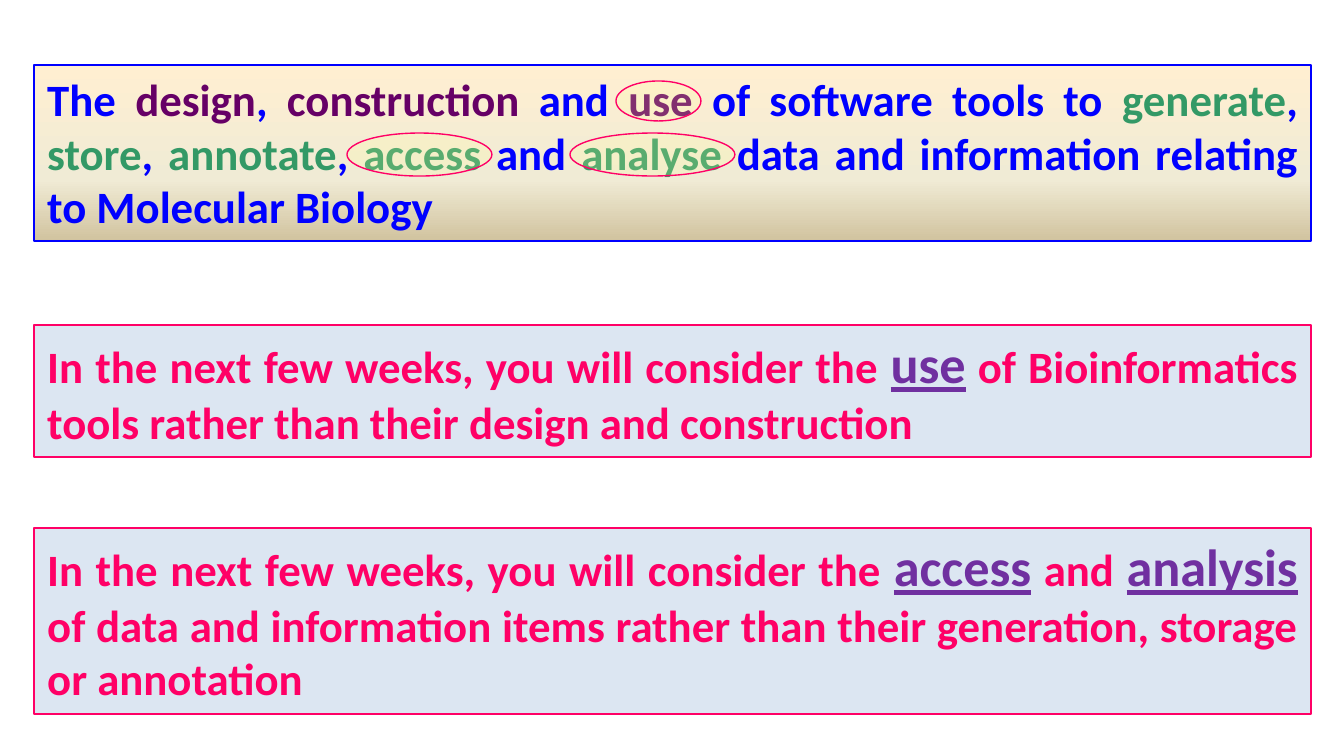
import copy
from dataclasses import dataclass

import pptx
import pptx.dml.color
import pptx.enum.shapes
import pptx.enum.text
import pptx.oxml
import pptx.oxml.ns
import pptx.util

EMU_PER_PX = 914400 / 134.4
BLUE, PURPLE, GREEN = "0000FF", "660066", "339966"
PINK, VIOLET, PALE_BLUE, YELLOW = "FF0066", "7030A0", "DCE6F2", "FFFF99"
PANEL_LEFT, PANEL_WIDTH = 34, 1277
GRADIENT = ((0, "FFEFD1"), (65, "F0EBD5"), (100, "D1C39F"))


@dataclass(frozen=True)
class Run:
    text: str
    color: str
    size: int = 24
    underline: bool = False


@dataclass(frozen=True)
class Panel:
    top: int
    height: int
    line: str
    runs: tuple[Run, ...]
    fill: str | None = None


@dataclass(frozen=True)
class Ring:
    left: int
    top: int
    width: int
    height: int


def emphasis(text: str) -> Run:
    return Run(text, VIOLET, 28, True)


PANELS = (
    Panel(65, 176, BLUE, (
        Run("The ", BLUE), Run("design", PURPLE), Run(", ", BLUE),
        Run("construction", PURPLE), Run(" and ", BLUE), Run("use", PURPLE),
        Run(" of software tools to ", BLUE), Run("generate", GREEN),
        Run(", ", BLUE), Run("store", GREEN), Run(", ", BLUE),
        Run("annotate", GREEN), Run(", ", BLUE), Run("access", GREEN),
        Run(" and ", BLUE), Run("analyse", GREEN),
        Run(" data and information relating to Molecular Biology", BLUE),
    )),
    Panel(325, 132, PINK, (
        Run("In the next few weeks, you will consider the ", PINK),
        emphasis("use"),
        Run(" of Bioinformatics tools rather than their design and construction", PINK),
    ), PALE_BLUE),
    Panel(528, 186, PINK, (
        Run("In the next few weeks, you will consider the ", PINK),
        emphasis("access"), Run(" and ", PINK), emphasis("analysis"),
        Run(" of data and information items rather than their generation, "
            "storage or annotation", PINK),
    ), PALE_BLUE),
)
RINGS = (Ring(616, 81, 85, 40), Ring(570, 133, 165, 43), Ring(347, 133, 145, 43))


def px(length: int) -> pptx.util.Emu:
    return pptx.util.Emu(round(length * EMU_PER_PX))


def rgb(color: str) -> pptx.dml.color.RGBColor:
    return pptx.dml.color.RGBColor.from_string(color)


def add_outlined(slide, kind, box: tuple[int, int, int, int], line: str):
    shape = slide.shapes.add_shape(kind, *map(px, box))
    shape.shadow.inherit = False
    shape.line.color.rgb = rgb(line)
    shape.line.width = pptx.util.Pt(0.75)
    return shape


def fill_solid(shape, color: str, opacity: int = 100) -> None:
    shape.fill.solid()
    shape.fill.fore_color.rgb = rgb(color)
    if opacity < 100:
        tint = shape.element.spPr.find(".//" + pptx.oxml.ns.qn("a:srgbClr"))
        alpha = pptx.oxml.parse_xml(
            f'<a:alpha {pptx.oxml.ns.nsdecls("a")} val="{opacity * 1000}"/>')
        tint.append(alpha)


def fill_gradient(shape, stops: tuple[tuple[int, str], ...]) -> None:
    shape.fill.gradient()
    shape.fill.gradient_angle = 270
    stop_list = shape.element.spPr.find(".//" + pptx.oxml.ns.qn("a:gsLst"))
    while len(stop_list) < len(stops):
        stop_list.append(copy.deepcopy(stop_list[0]))
    for stop, (position, color) in zip(shape.fill.gradient_stops, stops):
        stop.position = position / 100
        stop.color.rgb = rgb(color)


def add_text(paragraph, text: str, *, color: str, size: int, underline: bool) -> None:
    run = paragraph.add_run()
    run.text = text
    run.font.name = "Calibri"
    run.font.bold = True
    run.font.size = pptx.util.Pt(size)
    run.font.underline = underline
    run.font.color.rgb = rgb(color)


def draw_panel(slide, panel: Panel) -> None:
    shape = add_outlined(slide, pptx.enum.shapes.MSO_SHAPE.RECTANGLE,
                         (PANEL_LEFT, panel.top, PANEL_WIDTH, panel.height), panel.line)
    if panel.fill:
        fill_solid(shape, panel.fill)
    else:
        fill_gradient(shape, GRADIENT)
    frame = shape.text_frame
    frame.word_wrap = True
    frame.auto_size = pptx.enum.text.MSO_AUTO_SIZE.SHAPE_TO_FIT_TEXT
    frame.vertical_anchor = pptx.enum.text.MSO_ANCHOR.TOP
    paragraph = frame.paragraphs[0]
    paragraph.alignment = pptx.enum.text.PP_ALIGN.JUSTIFY
    for run in panel.runs:
        add_text(paragraph, run.text, color=run.color, size=run.size,
                 underline=run.underline)


def draw_ring(slide, ring: Ring) -> None:
    shape = add_outlined(slide, pptx.enum.shapes.MSO_SHAPE.OVAL,
                         (ring.left, ring.top, ring.width, ring.height), PINK)
    fill_solid(shape, YELLOW, opacity=19)


def main() -> None:
    presentation = pptx.Presentation()
    presentation.slide_width = px(1344)
    presentation.slide_height = px(756)
    slide = presentation.slides.add_slide(presentation.slide_layouts[6])
    for panel in PANELS:
        draw_panel(slide, panel)
    for ring in RINGS:
        draw_ring(slide, ring)
    presentation.save("out.pptx")


if __name__ == "__main__":
    main()
